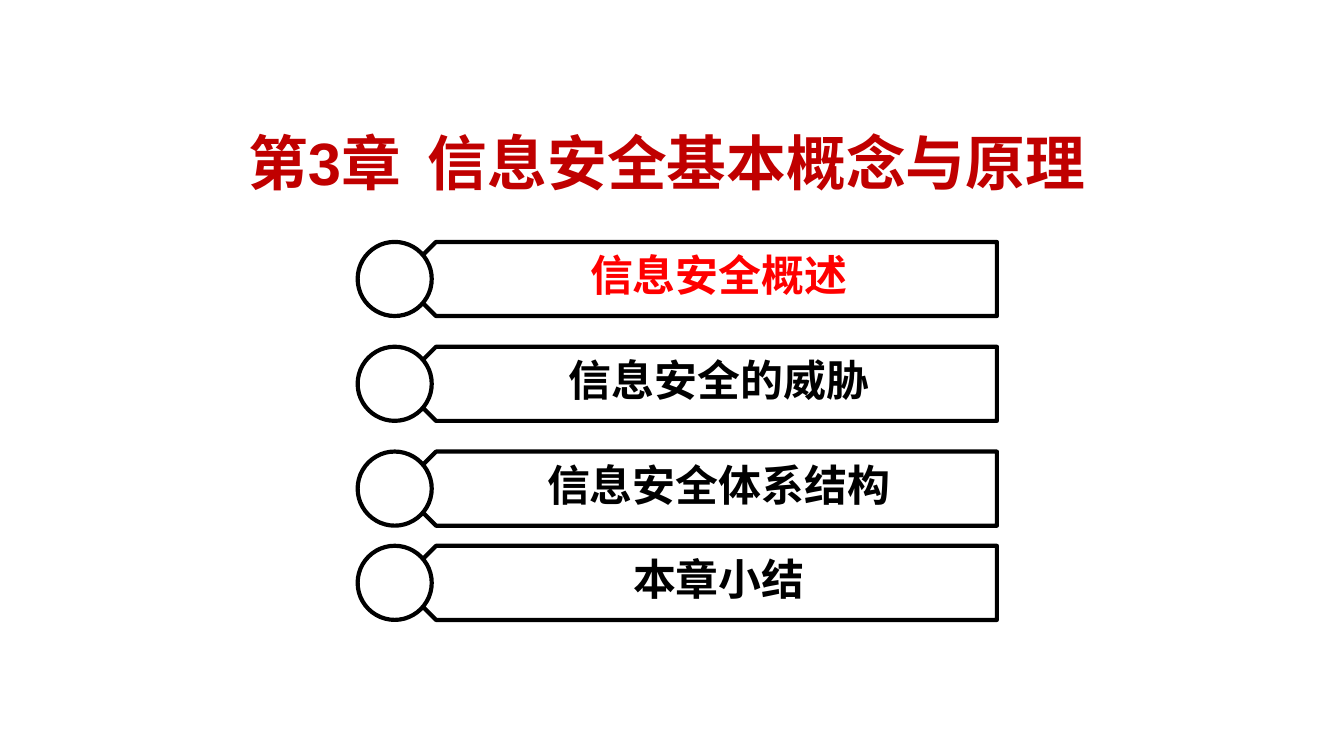
"""Build the chapter 3 contents slide with a title and four topic banners."""
from lxml.etree import SubElement
from pptx import Presentation
from pptx.dml.color import RGBColor
from pptx.enum.shapes import MSO_SHAPE
from pptx.enum.text import MSO_ANCHOR, MSO_AUTO_SIZE, PP_ALIGN
from pptx.oxml.ns import qn
from pptx.util import Cm, Pt

WHITE = RGBColor(0xFF, 0xFF, 0xFF)
BLACK = RGBColor(0x00, 0x00, 0x00)
RED = RGBColor(0xFF, 0x00, 0x00)
DARK_RED = RGBColor(0xC0, 0x00, 0x00)
CHINESE_FONT = "Noto Sans CJK SC"

BANNER_HEIGHT = Cm(1.4)
TOPICS = [
    ("信息安全概述", Cm(4.57), RED),
    ("信息安全的威胁", Cm(6.55), BLACK),
    ("信息安全体系结构", Cm(8.53), BLACK),
    ("本章小结", Cm(10.31), BLACK),
]


def write_text(text_frame, text, size, latin_font, color):
    text_frame.word_wrap = True
    paragraph = text_frame.paragraphs[0]
    paragraph.alignment = PP_ALIGN.CENTER
    run = paragraph.add_run()
    run.text = text
    run.font.size = Pt(size)
    run.font.bold = True
    run.font.name = latin_font
    run.font.color.rgb = color
    east_asian = SubElement(run.font._element, qn("a:ea"))
    east_asian.set("typeface", CHINESE_FONT)


def add_outlined_shape(slide, kind, left, top, width):
    shape = slide.shapes.add_shape(kind, left, top, width, BANNER_HEIGHT)
    shape.shadow.inherit = False
    shape.fill.solid()
    shape.fill.fore_color.rgb = WHITE
    shape.line.color.rgb = BLACK
    shape.line.width = Pt(2.25)
    return shape


presentation = Presentation()
presentation.slide_width = Cm(25.4)
presentation.slide_height = Cm(14.28)
slide = presentation.slides.add_slide(presentation.slide_layouts[5])

for topic, top, color in TOPICS:
    banner = add_outlined_shape(slide, MSO_SHAPE.PENTAGON, Cm(7.54), top, Cm(11.3))
    banner.rotation = 180
    add_outlined_shape(slide, MSO_SHAPE.OVAL, Cm(6.76), top, BANNER_HEIGHT)
    label = slide.shapes.add_textbox(Cm(8.33), top, Cm(10.52), Cm(1.22))
    label.text_frame.auto_size = MSO_AUTO_SIZE.SHAPE_TO_FIT_TEXT
    write_text(label.text_frame, topic, 23, CHINESE_FONT, color)

title = slide.shapes.title
title.left, title.top = Cm(4.17), Cm(2.18)
title.width, title.height = Cm(16.87), Cm(1.75)
title.text_frame.auto_size = MSO_AUTO_SIZE.NONE
title.text_frame.vertical_anchor = MSO_ANCHOR.MIDDLE
write_text(title.text_frame, "第3章  信息安全基本概念与原理", 32, "Arial", DARK_RED)

presentation.save("out.pptx")
